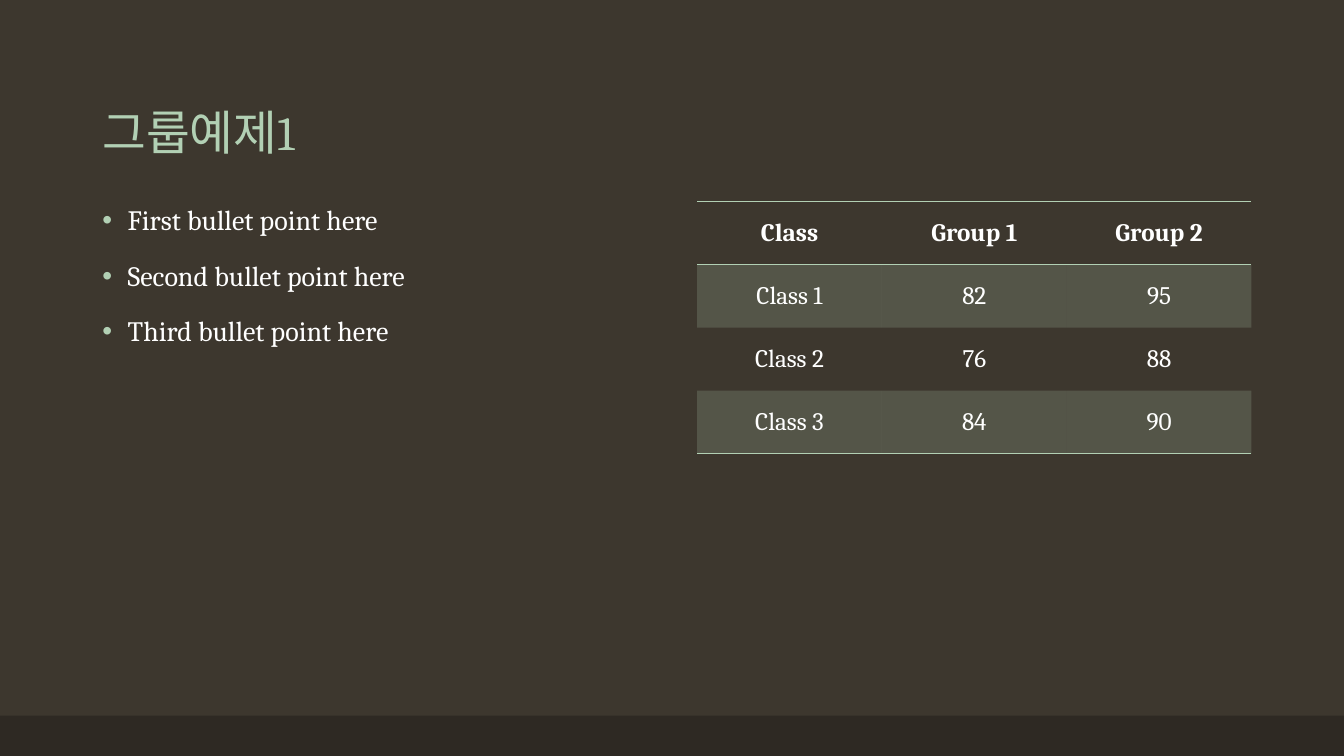
from lxml.etree import SubElement
from pptx import Presentation
from pptx.dml.color import RGBColor
from pptx.enum.shapes import MSO_SHAPE
from pptx.enum.text import MSO_ANCHOR as Anchor, MSO_AUTO_SIZE as AutoSize, PP_ALIGN as Align
from pptx.oxml import parse_xml
from pptx.oxml.ns import nsdecls, qn
from pptx.util import Pt

COLORS = {"background": "3D372E", "bar": "2E2923", "accent": "B2D0B4", "text": "FFFFFF"}
FONT = "Cambria"
PLAIN_TABLE_STYLE = "{2D5ABB26-0587-4C30-8999-92F81FD0307C}"
TITLE = "그룹예제1"
BULLETS = ["First bullet point here", "Second bullet point here", "Third bullet point here"]
SCORES = [
    ["Class", "Group 1", "Group 2"],
    ["Class 1", "82", "95"],
    ["Class 2", "76", "88"],
    ["Class 3", "84", "90"],
]


def color(name):
    return RGBColor.from_string(COLORS[name])


def apply(target, values):
    for name, value in values.items():
        setattr(target, name, value)


def place(shape, box):
    apply(shape, dict(zip(("left", "top", "width", "height"), map(Pt, box))))


def write(paragraph, text, size, color_name, bold=False, **layout):
    run = paragraph.add_run()
    run.text = text
    apply(run.font, {"name": FONT, "size": Pt(size), "bold": bold})
    run.font.color.rgb = color(color_name)
    apply(paragraph, layout)


def add_bar(slide, box):
    bar = slide.shapes.add_shape(MSO_SHAPE.RECTANGLE, *map(Pt, box))
    bar.shadow.inherit = False
    bar.fill.solid()
    bar.fill.fore_color.rgb = color("bar")
    bar.line.fill.background()


def fill_title(slide, box):
    title = slide.shapes.title
    place(title, box)
    frame = title.text_frame
    apply(frame, {"vertical_anchor": Anchor.BOTTOM, "auto_size": AutoSize.NONE, "word_wrap": True})
    write(frame.paragraphs[0], TITLE, 34, "accent", alignment=Align.LEFT, line_spacing=0.9)


def add_bullet(paragraph):
    properties = paragraph._p.get_or_add_pPr()
    properties.set("marL", str(Pt(18)))
    properties.set("indent", str(-Pt(18)))
    bullet_color = SubElement(properties, qn("a:buClr"))
    SubElement(bullet_color, qn("a:srgbClr"), val=COLORS["accent"])
    SubElement(properties, qn("a:buFont"), typeface="Arial")
    SubElement(properties, qn("a:buChar"), char="•")


def fill_bullets(slide, box):
    body = slide.placeholders[1]
    place(body, box)
    frame = body.text_frame
    apply(frame, {"vertical_anchor": Anchor.TOP, "auto_size": AutoSize.NONE, "word_wrap": True})
    for index, text in enumerate(BULLETS):
        paragraph = frame.add_paragraph() if index else frame.paragraphs[0]
        write(paragraph, text, 20, "text", alignment=Align.LEFT,
              line_spacing=0.9, space_before=Pt(18))
        add_bullet(paragraph)


def shade(cell):
    cell.fill.solid()
    cell.fill.fore_color.rgb = color("accent")
    for tint in cell._tc.tcPr.iter(qn("a:srgbClr")):
        SubElement(tint, qn("a:alpha"), val="20000")


def add_borders(cell, sides):
    properties = cell._tc.get_or_add_tcPr()
    for position, side in enumerate(sides):
        properties.insert(position, parse_xml(
            f'<a:ln{side} {nsdecls("a")} w="{Pt(1)}"><a:solidFill>'
            f'<a:srgbClr val="{COLORS["accent"]}"/></a:solidFill></a:ln{side}>'))


def add_scores(slide, box):
    row_count, column_count = len(SCORES), len(SCORES[0])
    table = slide.shapes.add_table(row_count, column_count, *map(Pt, box)).table
    table._tbl.tblPr.find(qn("a:tableStyleId")).text = PLAIN_TABLE_STYLE
    borders = {0: "TB", row_count - 1: "B"}
    for row, values in enumerate(SCORES):
        for column, value in enumerate(values):
            cell = table.cell(row, column)
            cell.vertical_anchor = Anchor.MIDDLE
            write(cell.text_frame.paragraphs[0], value, 18, "text",
                  bold=row == 0, alignment=Align.CENTER)
            if row % 2:
                shade(cell)
            else:
                cell.fill.background()
            add_borders(cell, borders.get(row, ""))


def build_slide(presentation, box):
    left, top, width, height = box
    slide = presentation.slides.add_slide(presentation.slide_layouts[1])
    slide.background.fill.solid()
    slide.background.fill.fore_color.rgb = color("background")
    margin, column_width, bar_height = 66, 396, 28.8
    content_top = top + 144
    add_bar(slide, (left, top + height - bar_height, width, bar_height))
    fill_title(slide, (left + margin, top + 28.8, width - 2 * margin, 90))
    fill_bullets(slide, (left + margin, content_top, column_width, 342.72))
    add_scores(slide, (left + width - margin - column_width, content_top, column_width, 180))


def main():
    presentation = Presentation()
    width, height = 960, 540
    apply(presentation, {"slide_width": Pt(width), "slide_height": Pt(height)})
    build_slide(presentation, (0, 0, width, height))
    presentation.save("out.pptx")


if __name__ == "__main__":
    main()
